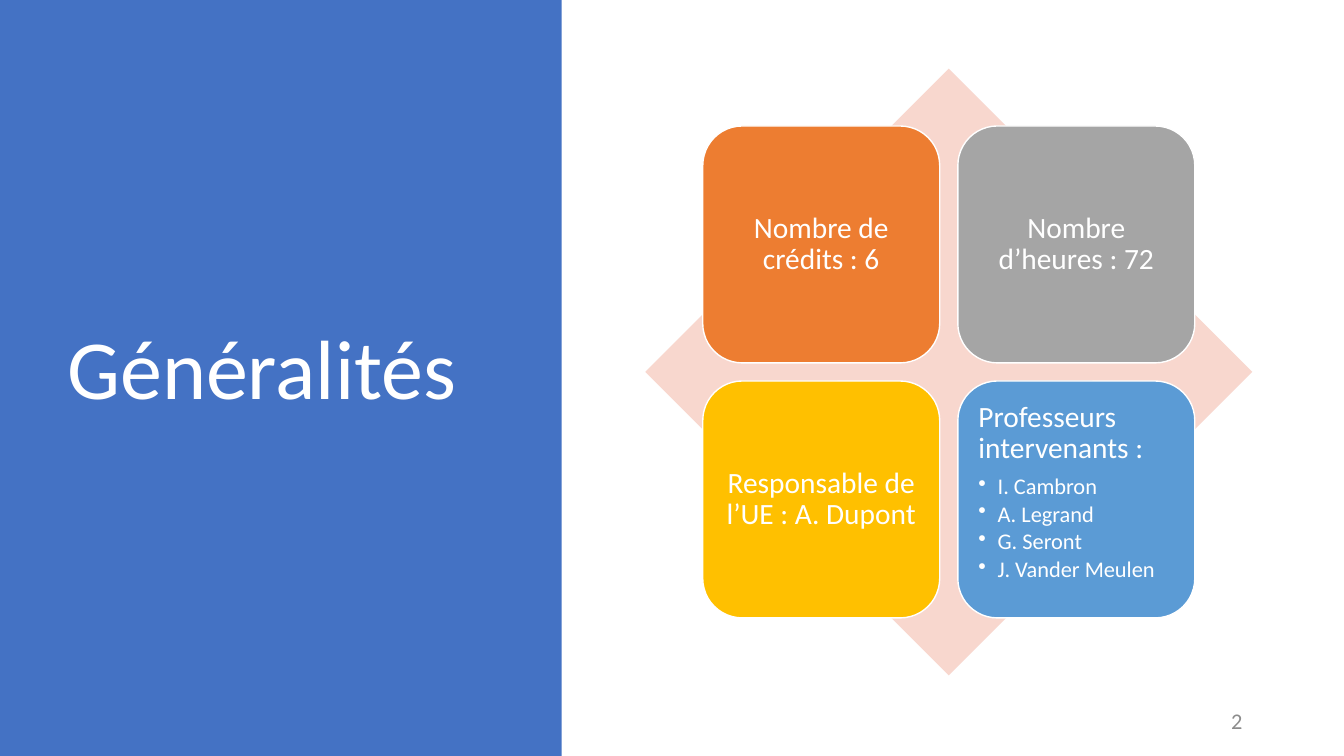
"""Build the "Généralités" slide: a title panel beside a four-tile matrix."""
from lxml import etree
from pptx import Presentation
from pptx import util as u
from pptx.dml.color import RGBColor
from pptx.enum import shapes, text
from pptx.oxml import ns

WHITE = RGBColor(0xFF, 0xFF, 0xFF)
BLUE = RGBColor(0x44, 0x72, 0xC4)
PINK = RGBColor(0xF8, 0xD7, 0xCE)
ORANGE = RGBColor(0xED, 0x7D, 0x31)
GREY = RGBColor(0xA5, 0xA5, 0xA5)
GOLD = RGBColor(0xFF, 0xC0, 0x00)
SKY = RGBColor(0x5B, 0x9B, 0xD5)
NUMBER_GREY = RGBColor(0x8C, 0x8C, 0x8C)

deck = Presentation()
deck.slide_width, deck.slide_height = u.Inches(13.33), u.Inches(7.5)
slide = deck.slides.add_slide(deck.slide_layouts[6])


def add_block(preset, left, top, width, height, color):
    block = slide.shapes.add_shape(preset, *map(u.Inches, (left, top, width, height)))
    block.shadow.inherit = False
    block.fill.solid()
    block.fill.fore_color.rgb = color
    block.line.fill.background()
    return block


def write(paragraph, words, size, color=WHITE, align=text.PP_ALIGN.LEFT, spacing=0.9):
    paragraph.text = words
    paragraph.alignment = align
    paragraph.line_spacing = spacing
    paragraph.font.name = "Calibri"
    paragraph.font.size = u.Pt(size)
    paragraph.font.color.rgb = color


add_block(shapes.MSO_SHAPE.RECTANGLE, 0, 0, 5.57, 7.5, BLUE)

LEFT, TOP, SIDE = 6.4, 0.68, 6.02
add_block(shapes.MSO_SHAPE.DIAMOND, LEFT, TOP, SIDE, SIDE, PINK)

captions = [
    ("Généralités", (0.57, TOP, 4.16, SIDE), 60, WHITE, text.PP_ALIGN.LEFT, 0.9),
    ("2", (9.42, 6.95, 3, 0.4), 16, NUMBER_GREY, text.PP_ALIGN.RIGHT, 1.0),
]
for words, place, size, color, align, spacing in captions:
    caption = slide.shapes.add_textbox(*map(u.Inches, place)).text_frame
    caption.word_wrap = True
    caption.vertical_anchor = text.MSO_ANCHOR.MIDDLE
    write(caption.paragraphs[0], words, size, color, align, spacing)

TILE, PITCH, INSET = 2.35, 2.53, 0.57
tiles = [
    ("Nombre de crédits : 6", ORANGE, []),
    ("Nombre d’heures : 72", GREY, []),
    ("Responsable de l’UE : A. Dupont", GOLD, []),
    ("Professeurs intervenants :", SKY,
     ["I. Cambron", "A. Legrand", "G. Seront", "J. Vander Meulen"]),
]
for index, (heading, color, teachers) in enumerate(tiles):
    row, column = divmod(index, 2)
    tile = add_block(shapes.MSO_SHAPE.ROUNDED_RECTANGLE, LEFT + INSET + column * PITCH,
                     TOP + INSET + row * PITCH, TILE, TILE, color)
    tile.line.color.rgb = WHITE
    tile.line.width = u.Pt(1)
    body = tile.text_frame
    body.word_wrap = True
    body.margin_left = body.margin_right = body.margin_top = body.margin_bottom = u.Inches(0.09)
    body.vertical_anchor = text.MSO_ANCHOR.TOP if teachers else text.MSO_ANCHOR.MIDDLE
    align = text.PP_ALIGN.LEFT if teachers else text.PP_ALIGN.CENTER
    write(body.paragraphs[0], heading, 21, align=align)
    body.paragraphs[0].space_after = u.Pt(0.35 * 21)
    for teacher in teachers:
        item = body.add_paragraph()
        item.level = 1
        properties = item._p.get_or_add_pPr()
        properties.set("marL", str(u.Inches(0.19)))
        properties.set("indent", str(u.Inches(-0.19)))
        etree.SubElement(properties, ns.qn("a:buChar")).set("char", "•")
        write(item, teacher, 16)
        item.space_after = u.Pt(0.15 * 16)

deck.save("out.pptx")
